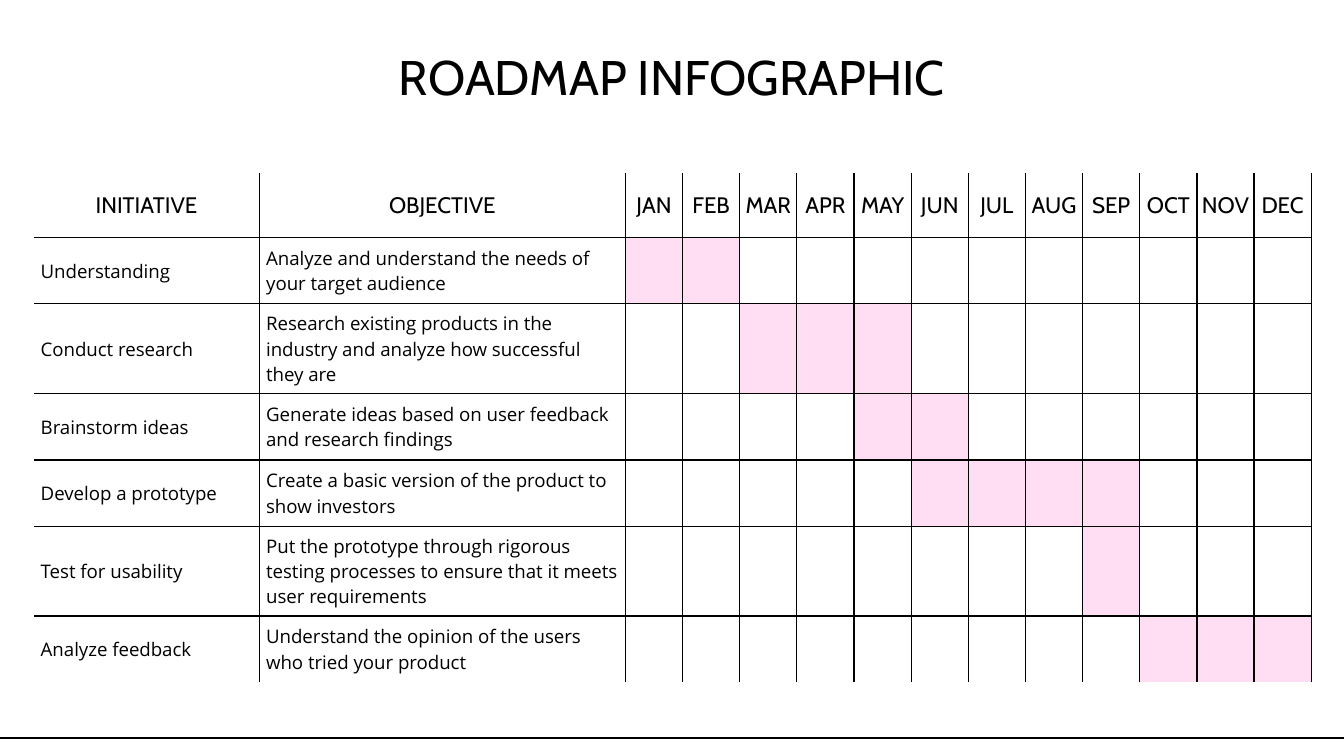
from lxml.etree import SubElement
from pptx import Presentation
from pptx.dml.color import RGBColor
from pptx.enum.shapes import MSO_CONNECTOR
from pptx.enum.text import MSO_ANCHOR, MSO_AUTO_SIZE, PP_ALIGN
from pptx.oxml import parse_xml
from pptx.oxml.ns import nsdecls, qn
from pptx.util import Cm, Pt

COLORS = {"ink": "000000", "bar": "FFDEF3"}
HEAD, BODY = "Cabin", "Open Sans"
MONTHS = "JAN FEB MAR APR MAY JUN JUL AUG SEP OCT NOV DEC".split()

# initiative, objective, first month, last month
TASKS = [
    ("Understanding",
     "Analyze and understand the needs of your target audience", "JAN", "FEB"),
    ("Conduct research",
     "Research existing products in the industry and analyze how successful they are",
     "MAR", "MAY"),
    ("Brainstorm ideas",
     "Generate ideas based on user feedback and research findings", "MAY", "JUN"),
    ("Develop a prototype",
     "Create a basic version of the product to show investors", "JUN", "SEP"),
    ("Test for usability",
     "Put the prototype through rigorous testing processes to ensure that it meets "
     "user requirements", "SEP", "SEP"),
    ("Analyze feedback",
     "Understand the opinion of the users who tried your product", "OCT", "DEC"),
]


def color(name):
    return RGBColor.from_string(COLORS[name])


def style(frame, font, size, align):
    for para in frame.paragraphs:
        para.alignment = align
        for run in para.runs:
            run.font.name = font
            run.font.size = Pt(size)
            run.font.color.rgb = color("ink")


def add_title(slide, text):
    title = slide.shapes.title
    title.left, title.top = Cm(0.64), Cm(0.64)
    title.width, title.height = Cm(24.13), Cm(1.6)
    frame = title.text_frame
    frame.text = text
    frame.auto_size = MSO_AUTO_SIZE.NONE
    frame.vertical_anchor = MSO_ANCHOR.MIDDLE
    style(frame, HEAD, 26, PP_ALIGN.CENTER)


def add_rule(slide, top):
    """Draw a thin line across the full slide width."""
    line = slide.shapes.add_connector(
        MSO_CONNECTOR.STRAIGHT, 0, top, Cm(25.4), top)
    line.line.color.rgb = color("ink")
    line.line.width = Pt(0.75)
    SubElement(line._element.spPr, qn("a:effectLst"))


def set_edges(cell, shown):
    """Line the sides named in shown (of L, R, T, B) and clear the others."""
    props = cell._tc.get_or_add_tcPr()
    for spot, side in enumerate("LRTB"):
        fill = "<a:noFill/>"
        if side in shown:
            fill = f'<a:solidFill><a:srgbClr val="{COLORS["ink"]}"/></a:solidFill>'
        props.insert(spot, parse_xml(
            f'<a:ln{side} {nsdecls("a")} w="{Pt(0.75)}">{fill}</a:ln{side}>'))


def fill_cell(cell, text, font, size, align, pad):
    cell.text_frame.text = text
    cell.vertical_anchor = MSO_ANCHOR.MIDDLE
    cell.margin_left = cell.margin_right = Cm(pad)
    cell.margin_top = cell.margin_bottom = Cm(pad)
    style(cell.text_frame, font, size, align)


def add_plan(slide):
    widths = [4.26, 6.92] + [1.08] * len(MONTHS)
    heights = [1.22] + [1.25] * len(TASKS)
    frame = slide.shapes.add_table(
        len(heights), len(widths), Cm(0.64), Cm(3.27),
        Cm(sum(widths)), Cm(sum(heights)))
    table = frame.table
    table.first_row = table.horz_banding = False
    for col, width in zip(table.columns, widths):
        col.width = Cm(width)
    for row, height in zip(table.rows, heights):
        row.height = Cm(height)

    for col, text in enumerate(["INITIATIVE", "OBJECTIVE"] + MONTHS):
        fill_cell(table.cell(0, col), text, HEAD, 12, PP_ALIGN.CENTER, 0)
    for row, (name, goal, first, last) in enumerate(TASKS, 1):
        for col, text in enumerate([name, goal]):
            fill_cell(table.cell(row, col), text, BODY, 10, PP_ALIGN.LEFT, 0.13)
        for month in range(MONTHS.index(first), MONTHS.index(last) + 1):
            cell = table.cell(row, month + 2)
            cell.fill.solid()
            cell.fill.fore_color.rgb = color("bar")

    for row in range(len(heights)):
        for col in range(len(widths)):
            cell = table.cell(row, col)
            if cell.fill.type is None:
                cell.fill.background()
            shown = "R" + "L" * (col > 0) + "T" * (row > 0)
            set_edges(cell, shown + "B" * (row < len(TASKS)))


def main():
    deck = Presentation()
    deck.slide_width, deck.slide_height = Cm(25.4), Cm(14.28)
    slide = deck.slides.add_slide(deck.slide_layouts[5])
    add_rule(slide, Cm(13.94))
    add_title(slide, "ROADMAP INFOGRAPHIC")
    add_plan(slide)
    deck.save("out.pptx")


if __name__ == "__main__":
    main()
